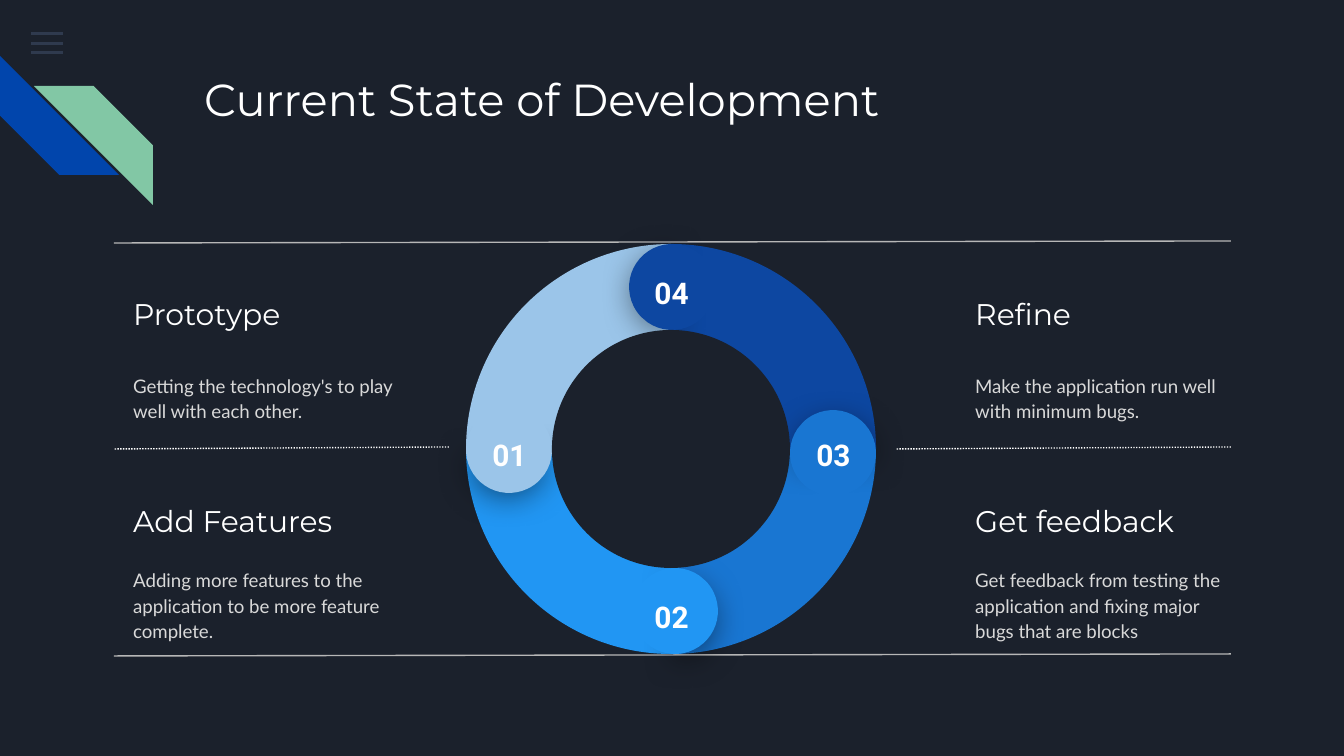
from dataclasses import dataclass
from math import cos, radians, sin

from lxml.etree import SubElement
from pptx import Presentation
from pptx.dml.color import RGBColor
from pptx.enum.dml import MSO_LINE
from pptx.enum.shapes import MSO_CONNECTOR, MSO_SHAPE
from pptx.enum.text import MSO_ANCHOR, PP_ALIGN
from pptx.oxml.ns import qn
from pptx.util import Pt


@dataclass(frozen=True)
class Theme:
    background: str = "1B212C"
    white: str = "FFFFFF"
    body: str = "D9D9D9"
    rule: str = "B7B7B7"
    menu: str = "55688B"
    blue: str = "0145AC"
    green: str = "82C7A5"
    shadow: str = "000000"
    heading_font: str = "Montserrat"
    body_font: str = "Lato"
    number_font: str = "Roboto"
    title_size: int = 24
    heading_size: int = 16
    body_size: int = 10


THEME = Theme()
PX = 9144000 / 1344
WIDTH, HEIGHT = 1344, 756

TITLE = "Current State of Development"
# Counterclockwise from the left:
# number, colour, cap shift along the ring, column, row, heading, description
STAGES = [
    ("01", "9BC5E9", 1, 0, 0, "Prototype",
     "Getting the technology's to play well with each other."),
    ("02", "2196F3", 4, 0, 1, "Add Features",
     "Adding more features to the application to be more feature complete."),
    ("03", "1976D2", 4, 1, 1, "Get feedback",
     "Get feedback from testing the application and fixing major bugs that are blocks"),
    ("04", "0D47A1", 1, 1, 0, "Refine",
     "Make the application run well with minimum bugs."),
]
# left, right, height at the right end, dotted
RULES = [
    (114, 1231, 241, False),
    (114, 449, 447, True),
    (896, 1231, 447, True),
    (114, 1231, 654, False),
]
MENU_TOPS = (32, 42, 51)
COLUMNS, ROWS = (120, 962), (281, 488)
CENTER_X, CENTER_Y = 671, 449
RING, HOLE, CAP, CAP_SHADOW = 410, 238, 86, 77
CAP_RADIUS, SHADOW_RADIUS = 162, 164


def px(*lengths):
    return [round(length * PX) for length in lengths]


def angles(*degrees):
    """Convert degrees to the adjustment values of pies and chords."""
    return [degree * 0.6 for degree in degrees]


def add_solid(page, kind, box, color, rotation=0, adjustments=()):
    shape = page.shapes.add_shape(kind, *px(*box))
    shape.shadow.inherit = False
    shape.fill.solid()
    shape.fill.fore_color.rgb = RGBColor.from_string(color)
    shape.line.fill.background()
    shape.rotation = rotation
    for index, value in enumerate(adjustments):
        shape.adjustments[index] = value
    return shape


def add_centered(page, kind, x, y, size, *style):
    return add_solid(page, kind, (x - size / 2, y - size / 2, size, size), *style)


def add_shadow(shape):
    effects = shape._element.spPr.find(qn("a:effectLst"))
    outer = SubElement(effects, qn("a:outerShdw"), blurRad=str(Pt(18)),
                       dist=str(Pt(4)), dir="5400000", algn="ctr", rotWithShape="0")
    color = SubElement(outer, qn("a:srgbClr"), val=THEME.shadow)
    SubElement(color, qn("a:alpha"), val="55000")


def add_text(page, box, text, size, font, color, anchor=MSO_ANCHOR.TOP):
    frame = page.shapes.add_textbox(*px(*box)).text_frame
    frame.word_wrap = True
    frame.vertical_anchor = anchor
    frame.margin_left = frame.margin_right = Pt(7.2)
    frame.margin_top = frame.margin_bottom = Pt(7.2)
    para = frame.paragraphs[0]
    para.text = text
    para.font.size = Pt(size)
    para.font.name = font
    para.font.color.rgb = RGBColor.from_string(color)
    return para


def add_decoration(page):
    for top in MENU_TOPS:
        bar = add_solid(page, MSO_SHAPE.RECTANGLE, (31, top, 32, 3), THEME.menu)
        color = bar._element.spPr.find(qn("a:solidFill"))[0]
        SubElement(color, qn("a:alpha"), val="36000")
    add_solid(page, MSO_SHAPE.DIAGONAL_STRIPE, (0, 56, 119, 119), THEME.blue, 270, [0.5])
    stripe = add_solid(page, MSO_SHAPE.DIAGONAL_STRIPE, (34, 86, 119, 119),
                       THEME.green, 0, [0.5])
    stripe._element.spPr.xfrm.set("flipH", "1")


def add_rules(page):
    for left, right, y, dotted in RULES:
        rule = page.shapes.add_connector(MSO_CONNECTOR.STRAIGHT, *px(right, y, left, y + 2))
        rule.line.width = Pt(0.75)
        rule.line.color.rgb = RGBColor.from_string(THEME.white if dotted else THEME.rule)
        if dotted:
            rule.line.dash_style = MSO_LINE.ROUND_DOT
        SubElement(rule._element.spPr, qn("a:effectLst"))


def add_descriptions(page):
    for _, _, _, column, row, heading, description in STAGES:
        left, top = COLUMNS[column], ROWS[row]
        add_text(page, (left, top, 273, 66), heading, THEME.heading_size,
                 THEME.heading_font, THEME.white, MSO_ANCHOR.MIDDLE)
        para = add_text(page, (left, top + 65, 293, 102), description, THEME.body_size,
                        THEME.body_font, THEME.body, MSO_ANCHOR.MIDDLE)
        para.line_spacing = 1.15
        para.space_after = Pt(16)


def add_cycle(page):
    for index, (_, color, *_) in enumerate(STAGES):
        add_centered(page, MSO_SHAPE.PIE, CENTER_X, CENTER_Y, RING, color,
                     -90 * index % 360, angles(180, 270))
    for index, (number, color, shift, *_) in enumerate(STAGES):
        turn = -90 * index
        across, down = cos(radians(180 + turn)), sin(radians(180 + turn))
        x = CENTER_X + abs(down) * shift
        y = CENTER_Y + abs(across) * shift
        back = add_centered(page, MSO_SHAPE.PIE, x + SHADOW_RADIUS * across,
                            y + SHADOW_RADIUS * down, CAP_SHADOW, color,
                            (39.5 + turn) % 360, angles(315.9, 139.7))
        add_shadow(back)
        add_centered(page, MSO_SHAPE.CHORD, x + CAP_RADIUS * across,
                     y + CAP_RADIUS * down, CAP, color,
                     (4.1 + turn) % 360, angles(41.7, 30.2))
        left = CENTER_X + CAP_RADIUS * across - 37
        top = CENTER_Y + CAP_RADIUS * down - 26
        para = add_text(page, (left, top, 75, 39), number, THEME.heading_size,
                        THEME.number_font, THEME.white)
        para.alignment = PP_ALIGN.CENTER
        para.font.bold = True
    add_centered(page, MSO_SHAPE.OVAL, CENTER_X, CENTER_Y, HOLE, THEME.background)


def main():
    deck = Presentation()
    deck.slide_width, deck.slide_height = px(WIDTH, HEIGHT)
    page = deck.slides.add_slide(deck.slide_layouts[6])
    page.background.fill.solid()
    page.background.fill.fore_color.rgb = RGBColor.from_string(THEME.background)
    add_decoration(page)
    add_text(page, (191, 58, 1035, 134), TITLE, THEME.title_size,
             THEME.heading_font, THEME.white)
    add_descriptions(page)
    add_rules(page)
    add_cycle(page)
    deck.save("out.pptx")


if __name__ == "__main__":
    main()
